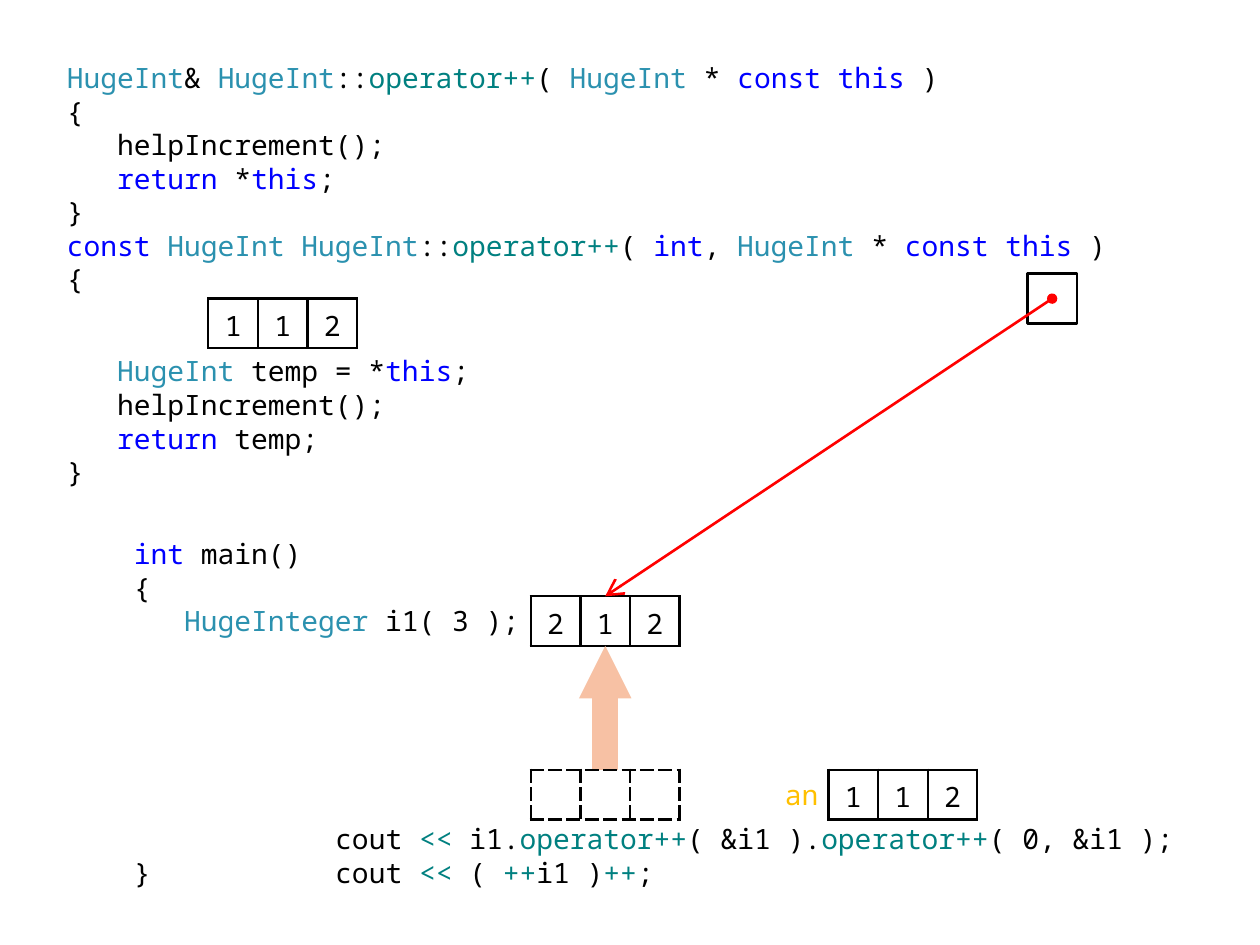
from lxml import etree
from pptx import Presentation
from pptx.dml.color import RGBColor
from pptx.enum import shapes, text
from pptx.oxml.ns import qn
from pptx.util import Cm, Pt

FONT = "Noto Sans Mono"
SIZE = Pt(16)
CELL = 1.0  # side of one digit box, cm
COLOURS = {
    "plain": "000000", "type": "2B91AF", "keyword": "0000FF",
    "operator": "008080", "label": "FFC000", "paper": "FFFFFF",
    "pointer": "FF0000", "result": "F7C1A4",
}

# Code lines: a string is plain, a pair is (colour name, words)
HUGE = ("type", "HugeInt")
INCREMENT = ("operator", "operator++")
THIS = ("keyword", "this")
CONST_THIS = ("keyword", "const this")
RETURN = ("keyword", "return")
SHIFT = ("operator", "<<")
PLUS = ("operator", "++")

OPERATORS = [
    [HUGE, "& ", HUGE, "::", INCREMENT, "( ", HUGE, " * ", CONST_THIS, " )"],
    ["{"],
    ["   helpIncrement();"],
    ["   ", RETURN, " *", THIS, ";"],
    ["}"],
    [("keyword", "const "), ("type", "HugeInt HugeInt"), "::", INCREMENT, "( ",
     ("keyword", "int"), ", ", HUGE, " * ", CONST_THIS, " )"],
    ["{"],
    ["   ", HUGE, " temp = *", THIS, ";"],
    ["   helpIncrement();"],
    ["   ", RETURN, " temp;"],
    ["}"],
]
MAIN = [
    [("keyword", "int"), " main()"],
    ["{"],
    ["   ", ("type", "HugeInteger "), "i1( 3 );"],
    ["\tcout ", SHIFT, " i1.", INCREMENT, "( &i1 ).", INCREMENT, "( 0, &i1 );"],
    ["}\tcout ", SHIFT, " ( ", PLUS, "i1 )", PLUS, ";"],
]
# lines, box (left, top, width, height), insets, {line: space before}
CODE_BLOCKS = [
    (OPERATORS, (1.2, 1.02, 21.51, 8.99), (0.15, 0.2, 0, 0.13), {7: 33.4}),
    (MAIN, (2.7, 10.52, 21.51, 7.49), (0, 0.3, 0.25, 0.13), {3: 105.2}),
]
TAB_STOP = Cm(4.06)  # twelve characters

VALUE_LEFT, VALUE_TOP, RESULT_TOP = 10.7, 12.02, 15.52
VALUE_CENTRE = VALUE_LEFT + 1.5 * CELL
COPY_LEFT = 16.7
POINTER_LEFT, POINTER_TOP = 20.71, 5.52


def colour(name):
    return RGBColor.from_string(COLOURS[name])


def style(paragraph, name="plain"):
    paragraph.font.name = FONT
    paragraph.font.size = SIZE
    paragraph.font.color.rgb = colour(name)


def add_box(slide, box, insets):
    shape = slide.shapes.add_textbox(*map(Cm, box))
    frame = shape.text_frame
    frame.word_wrap = True
    (frame.margin_left, frame.margin_top,
     frame.margin_right, frame.margin_bottom) = map(Cm, insets)
    return frame


def add_code(slide, lines, box, insets, gaps):
    frame = add_box(slide, box, insets)
    for index, line in enumerate(lines):
        paragraph = frame.paragraphs[0] if index == 0 else frame.add_paragraph()
        if index in gaps:
            paragraph.space_before = Pt(gaps[index])
        if any("\t" in part for part in line):
            properties = paragraph._p.get_or_add_pPr()
            tabs = etree.SubElement(properties, qn("a:tabLst"))
            etree.SubElement(tabs, qn("a:tab"), pos=str(TAB_STOP), algn="l")
        style(paragraph)
        for part in line:
            name, words = ("plain", part) if isinstance(part, str) else part
            run = paragraph.add_run()
            run.text = words
            if name != "plain":
                run.font.color.rgb = colour(name)


def add_borders(cell, dash):
    properties = cell._tc.get_or_add_tcPr()
    for index, side in enumerate(("a:lnL", "a:lnR", "a:lnT", "a:lnB")):
        line = etree.Element(qn(side), w=str(Pt(1.5)))
        fill = etree.SubElement(line, qn("a:solidFill"))
        etree.SubElement(fill, qn("a:srgbClr"), val=COLOURS["plain"])
        etree.SubElement(line, qn("a:prstDash"), val=dash)
        properties.insert(index, line)


def add_digits(slide, left, top, digits, dash="solid"):
    count = len(digits)
    table = slide.shapes.add_table(
        1, count, Cm(left), Cm(top), Cm(count * CELL), Cm(CELL)).table
    table.first_row = table.horz_banding = False
    for column, digit in enumerate(digits):
        table.columns[column].width = Cm(CELL)
        cell = table.cell(0, column)
        cell.margin_left = cell.margin_right = 0
        cell.margin_top, cell.margin_bottom = Cm(0.15), Cm(0.05)
        cell.vertical_anchor = text.MSO_ANCHOR.MIDDLE
        cell.fill.solid()
        cell.fill.fore_color.rgb = colour("paper")
        add_borders(cell, dash)
        paragraph = cell.text_frame.paragraphs[0]
        paragraph.alignment = text.PP_ALIGN.CENTER
        style(paragraph)
        if digit:
            paragraph.add_run().text = digit


def add_arrow(slide, start, end, name, width, ends):
    connector = slide.shapes.add_connector(
        shapes.MSO_CONNECTOR.STRAIGHT, *map(Cm, start + end))
    connector.line.color.rgb = colour(name)
    connector.line.width = Pt(width)
    line = connector.line._get_or_add_ln()
    for tag, kind, size in ends:
        etree.SubElement(line, qn(tag), type=kind, w=size, len=size)
    etree.SubElement(connector._element.spPr, qn("a:effectLst"))


def main():
    presentation = Presentation()
    presentation.slide_width, presentation.slide_height = Cm(25.4), Cm(19.05)
    slide = presentation.slides.add_slide(presentation.slide_layouts[6])

    # Code
    for block in CODE_BLOCKS:
        add_code(slide, *block)

    # temp, i1 and the result that refers to i1
    add_digits(slide, 4.2, 6.02, "112")
    add_digits(slide, VALUE_LEFT, VALUE_TOP, "212")
    add_arrow(slide, (VALUE_CENTRE, RESULT_TOP), (VALUE_CENTRE, VALUE_TOP + CELL),
              "result", 15, [("a:tailEnd", "triangle", "sm")])
    add_digits(slide, VALUE_LEFT, RESULT_TOP, ["", "", ""], "dash")

    # The this pointer
    square = slide.shapes.add_shape(
        shapes.MSO_SHAPE.RECTANGLE,
        *map(Cm, (POINTER_LEFT, POINTER_TOP, CELL, CELL)))
    square.shadow.inherit = False
    square.fill.solid()
    square.fill.fore_color.rgb = colour("paper")
    square.line.color.rgb = colour("plain")
    square.line.width = Pt(1.5)
    add_arrow(slide, (POINTER_LEFT + CELL / 2, POINTER_TOP + CELL / 2),
              (VALUE_CENTRE, VALUE_TOP), "pointer", 1.5,
              [("a:headEnd", "oval", "med"), ("a:tailEnd", "arrow", "lg")])

    # The returned copy and its label
    add_digits(slide, COPY_LEFT, RESULT_TOP, "112")
    label = add_box(slide, (COPY_LEFT - 1.5, RESULT_TOP, 1.5, CELL),
                    (0.2, 0.13, 0.2, 0.13))
    label.vertical_anchor = text.MSO_ANCHOR.MIDDLE
    paragraph = label.paragraphs[0]
    paragraph.alignment = text.PP_ALIGN.RIGHT
    style(paragraph, "label")
    paragraph.add_run().text = "an"

    presentation.save("out.pptx")


if __name__ == "__main__":
    main()
